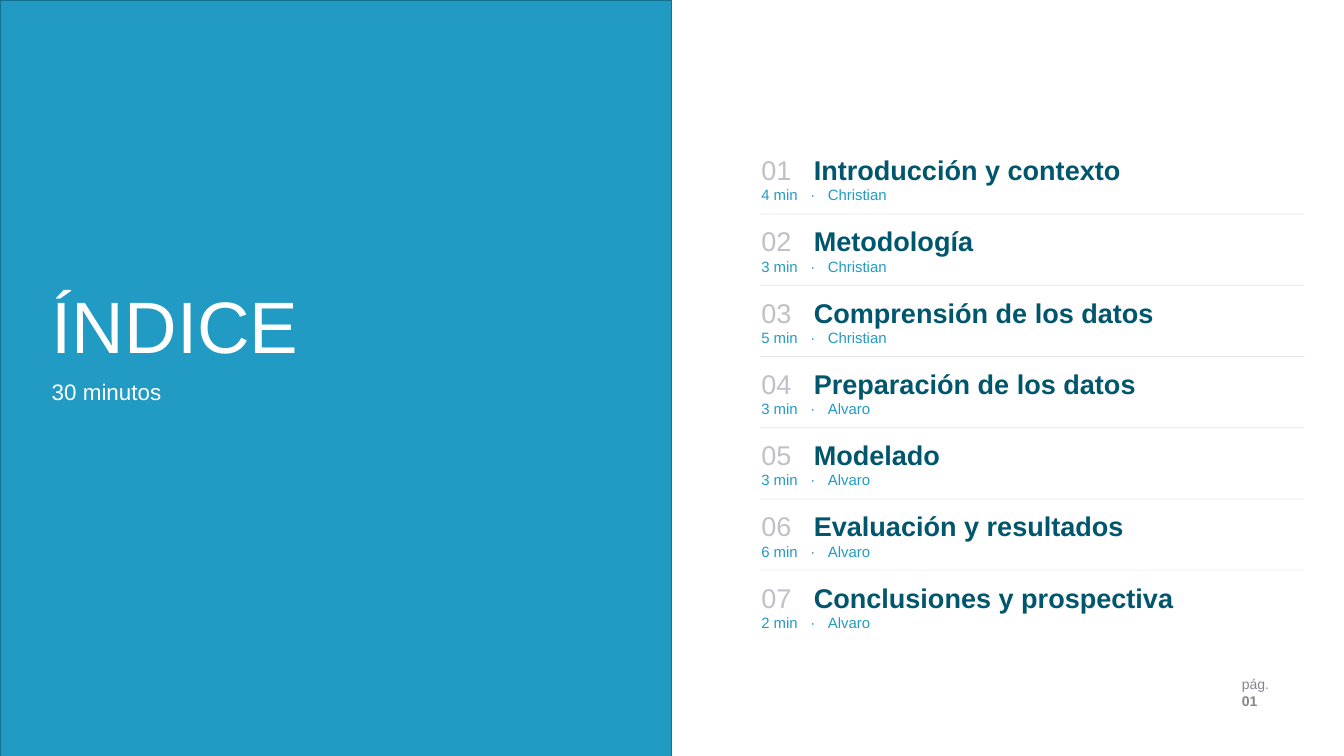
from pptx import Presentation
from pptx.dml.color import RGBColor
from pptx.enum.shapes import MSO_SHAPE
from pptx.enum.text import MSO_ANCHOR, MSO_AUTO_SIZE, PP_ALIGN
from pptx.oxml.ns import qn
from pptx.util import Inches, Pt
from lxml import etree

RECTANGLE = MSO_SHAPE.RECTANGLE
TOP, MIDDLE = MSO_ANCHOR.TOP, MSO_ANCHOR.MIDDLE
GROW = MSO_AUTO_SIZE.SHAPE_TO_FIT_TEXT
LEFT = PP_ALIGN.LEFT
TITLE_ONLY = 5

FONT = "Arial"
BLUE, DARK_BLUE, TEAL = "219BC3", "15718F", "00566C"
WHITE, NUMBER_GREY, RULE_GREY, PAGE_GREY = "FFFFFF", "C0C0C8", "E6E6E9", "858591"

AGENDA = [
    ("Introducción y contexto", 4, "Christian"),
    ("Metodología", 3, "Christian"),
    ("Comprensión de los datos", 5, "Christian"),
    ("Preparación de los datos", 3, "Alvaro"),
    ("Modelado", 3, "Alvaro"),
    ("Evaluación y resultados", 6, "Alvaro"),
    ("Conclusiones y prospectiva", 2, "Alvaro"),
]
AGENDA_LEFT, AGENDA_TOP, ROW_PITCH = 11.31, 2.2, 1.06
RULE_OFFSET = 0.98


def color(hex_value):
    return RGBColor.from_string(hex_value)


def style_font(font, size, hex_value, bold=False):
    font.name = FONT
    font.size = Pt(size)
    font.bold = bold
    font.color.rgb = color(hex_value)


def add_rectangle(slide, left, top, width, height, fill, line=None):
    rectangle = slide.shapes.add_shape(
        RECTANGLE, Inches(left), Inches(top), Inches(width), Inches(height))
    rectangle.shadow.inherit = False
    rectangle.fill.solid()
    rectangle.fill.fore_color.rgb = color(fill)
    if line:
        rectangle.line.color.rgb = color(line)
        rectangle.line.width = Pt(1)
    else:
        rectangle.line.fill.background()
    return rectangle


def set_up_frame(frame, anchor):
    frame.word_wrap = True
    frame.auto_size = GROW
    frame.vertical_anchor = anchor
    frame.margin_left = frame.margin_right = Inches(0.02)
    frame.margin_top = frame.margin_bottom = 0


def add_text_frame(slide, left, top, width, height, anchor):
    box = slide.shapes.add_textbox(
        Inches(left), Inches(top), Inches(width), Inches(height))
    set_up_frame(box.text_frame, anchor)
    return box.text_frame


def add_tab_stops(paragraph, *positions):
    properties = paragraph._p.get_or_add_pPr()
    tab_list = etree.SubElement(properties, qn("a:tabLst"))
    for position in positions:
        etree.SubElement(tab_list, qn("a:tab"), pos=str(Inches(position)), algn="l")


def add_heading(slide):
    heading = slide.shapes.title
    heading.left, heading.top = Inches(0.75), Inches(4.1)
    heading.width, heading.height = Inches(8.5), Inches(2)
    frame = heading.text_frame
    set_up_frame(frame, MIDDLE)
    frame.text = "ÍNDICE\n30 minutos"
    for paragraph, size in zip(frame.paragraphs, (78, 24)):
        paragraph.alignment = LEFT
        style_font(paragraph.runs[0].font, size, WHITE)
    frame.paragraphs[0].space_after = Pt(10)
    return heading


def add_agenda_item(slide, number, topic, minutes, speaker):
    top = AGENDA_TOP + (number - 1) * ROW_PITCH
    frame = add_text_frame(slide, AGENDA_LEFT, top, 8.2, 0.92, MIDDLE)

    topic_line = frame.paragraphs[0]
    add_tab_stops(topic_line, 0.78)
    for text, hex_value, bold in ((f"{number:02}\t", NUMBER_GREY, False),
                                  (topic, TEAL, True)):
        run = topic_line.add_run()
        run.text = text
        style_font(run.font, 29, hex_value, bold)

    detail_line = frame.add_paragraph()
    add_tab_stops(detail_line, 0.73, 0.99)
    detail_line.text = f"{minutes} min\t·\t{speaker}"
    style_font(detail_line.runs[0].font, 16, BLUE)

    # Rule between this item and the next
    if number < len(AGENDA):
        add_rectangle(slide, AGENDA_LEFT, top + RULE_OFFSET, 8.1, 0.01, RULE_GREY)


def add_page_number(slide):
    frame = add_text_frame(slide, 18.46, 10.06, 1.3, 0.8, TOP)
    frame.text = "pág.\n01"
    for paragraph, bold in zip(frame.paragraphs, (False, True)):
        style_font(paragraph.runs[0].font, 15, PAGE_GREY, bold)


def main():
    presentation = Presentation()
    presentation.slide_width = Inches(20)
    presentation.slide_height = Inches(11.25)
    slide = presentation.slides.add_slide(presentation.slide_layouts[TITLE_ONLY])

    # Left half: heading on a blue panel, with the panel behind
    panel = add_rectangle(slide, 0, 0, 10, 11.25, BLUE, DARK_BLUE)
    heading = add_heading(slide)
    heading.element.addprevious(panel.element)

    # Right half: agenda
    for number, (topic, minutes, speaker) in enumerate(AGENDA, start=1):
        add_agenda_item(slide, number, topic, minutes, speaker)

    add_page_number(slide)
    presentation.save("out.pptx")


if __name__ == "__main__":
    main()
